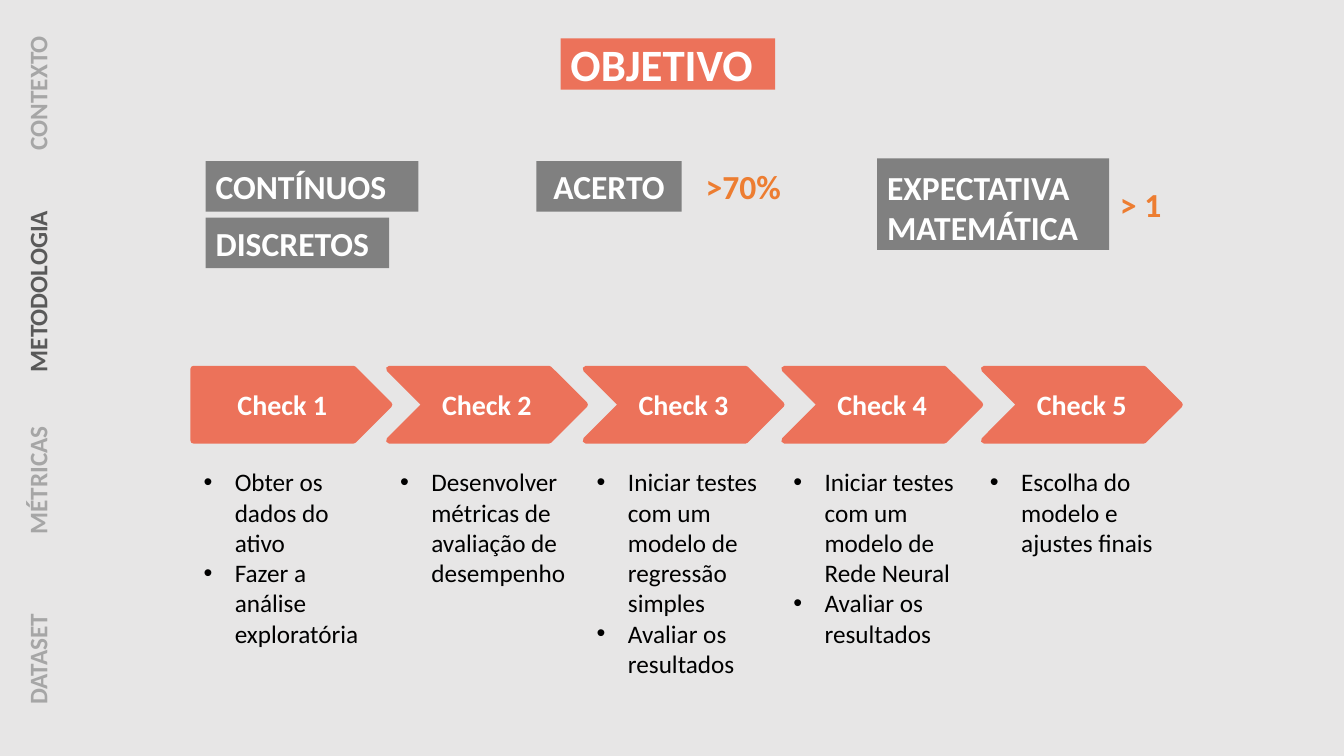
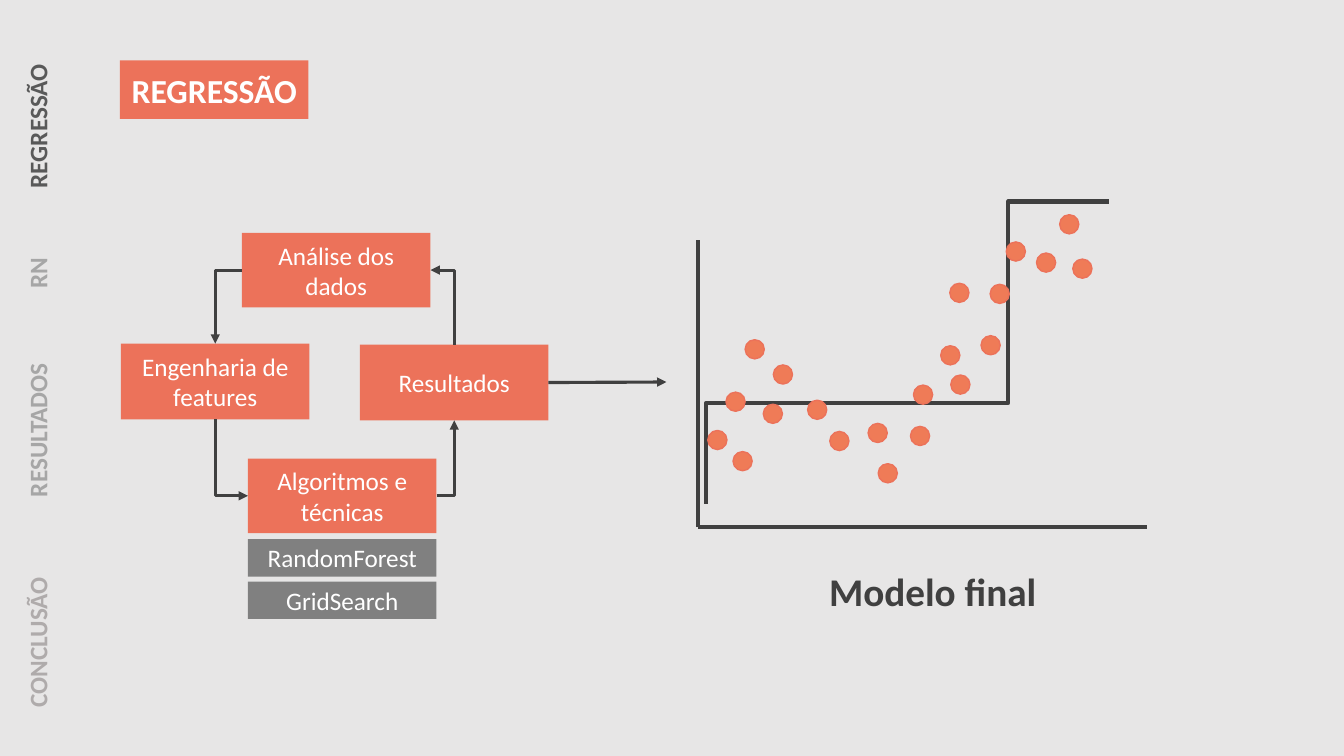
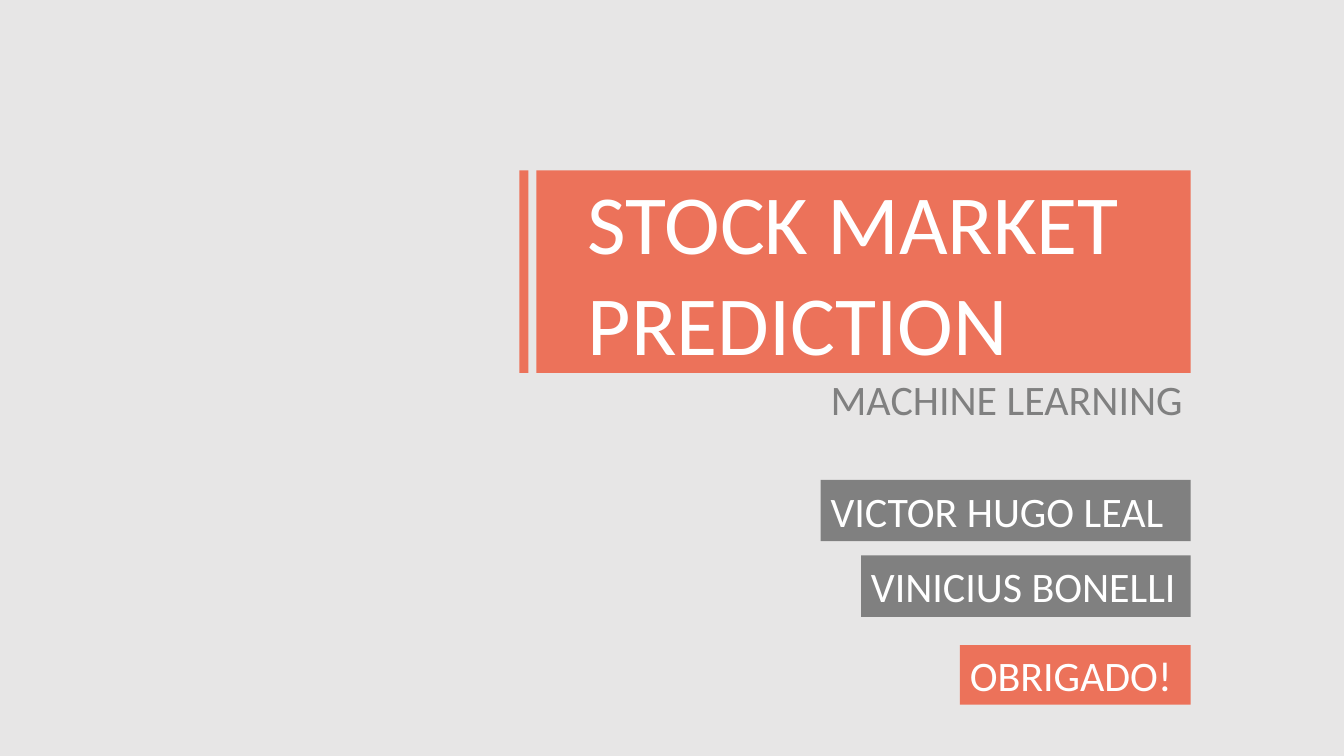
from lxml import etree
from pptx import Presentation
from pptx.dml.color import RGBColor
from pptx.enum.shapes import MSO_CONNECTOR as LINK, MSO_SHAPE as SHAPE
from pptx.enum.text import MSO_ANCHOR as ANCHOR, PP_ALIGN as ALIGN
from pptx.oxml.ns import qn
from pptx.util import Inches, Pt

COLORS = {
    "paper": "E7E6E6", "coral": "EC725A", "dot": "EF7B57", "orange": "ED7D31",
    "gray": "808080", "ink": "404040", "active": "595959", "idle": "A6A6A6",
    "last": "AFABAB", "white": "FFFFFF", "black": "000000",
}
COLORS = {name: RGBColor.from_string(value) for name, value in COLORS.items()}


def add_box(shapes, at, lines=(), size=18, color="white", fill=None, bold=False,
            align=ALIGN.LEFT, kind=SHAPE.RECTANGLE, border=0, bullet=False):
    """Add a filled shape, or a text box when there is no fill."""
    place = [Inches(length) for length in at]
    if fill:
        box = shapes.add_shape(kind, *place)
        box.shadow.inherit = False
        box.fill.solid()
        box.fill.fore_color.rgb = COLORS[fill]
        if border:
            box.line.width = Pt(border)
            box.line.color.rgb = COLORS["coral"]
        else:
            box.line.fill.background()
    else:
        box = shapes.add_textbox(*place)
    frame = box.text_frame
    frame.word_wrap = True
    frame.vertical_anchor = ANCHOR.MIDDLE if fill else ANCHOR.TOP
    for index, line in enumerate(lines):
        para = frame.add_paragraph() if index else frame.paragraphs[0]
        para.text = line
        para.alignment = align
        if bullet:
            props = para._p.get_or_add_pPr()
            props.set("marL", str(Inches(0.31)))
            props.set("indent", str(-Inches(0.31)))
            etree.SubElement(props, qn("a:buFont"), typeface="Arial")
            etree.SubElement(props, qn("a:buChar"), char="•")
        para.font.name = "Calibri"
        para.font.size = Pt(size)
        para.font.bold = bold
        para.font.color.rgb = COLORS[color]
    return box


def add_line(shapes, kind, start, end, width, arrow=None):
    """Add a dark connector; arrow is headEnd (start) or tailEnd (end)."""
    line = shapes.add_connector(kind, *[Inches(length) for length in (*start, *end)])
    line.line.width = Pt(width)
    line.line.color.rgb = COLORS["ink"]
    props = line._element.spPr
    if arrow:
        etree.SubElement(props.find(qn("a:ln")), qn("a:" + arrow), type="triangle")
    etree.SubElement(props, qn("a:effectLst"))
    return line


deck = Presentation()
deck.slide_width, deck.slide_height = Inches(13.33), Inches(7.5)

# Pages with background and vertical section menu: label, centre, length, colour
menus = [
    [("CONTEXTO", 0.88, 1.42, "idle"), ("METODOLOGIA", 2.85, 1.88, "active"),
     ("MÉTRICAS", 4.75, 1.3, "idle"), ("DATASET", 6.52, 1.14, "idle")],
    [("REGRESSÃO", 1.21, 1.51, "active"), ("RN", 2.7, 0.52, "idle"),
     ("RESULTADOS", 4.23, 1.6, "idle"), ("CONCLUSÃO", 6.31, 1.61, "last")],
    [],
]
pages = []
for menu in menus:
    page = deck.slides.add_slide(deck.slide_layouts[6])
    page.background.fill.solid()
    page.background.fill.fore_color.rgb = COLORS["paper"]
    for label, middle, length, color in menu:
        item = add_box(page.shapes, (0.37 - length / 2, middle - 0.2, length, 0.4),
                       [label], color=color, bold=True)
        item.rotation = 270
        item.text_frame.word_wrap = False
    pages.append(page.shapes)
goal, regression, closing = pages

# Slide 1: goal and targets
add_box(goal, (5.56, 0.38, 2.13, 0.51), ["OBJETIVO"], 32, fill="coral", bold=True)
targets = [
    ((2.04, 1.6, 2.11, 0.5), ["CONTÍNUOS"], ALIGN.LEFT),
    ((2.04, 2.16, 1.82, 0.5), ["DISCRETOS"], ALIGN.LEFT),
    ((5.32, 1.6, 1.44, 0.5), ["ACERTO"], ALIGN.CENTER),
    ((8.7, 1.57, 2.3, 0.91), ["EXPECTATIVA", "MATEMÁTICA"], ALIGN.LEFT),
]
for at, lines, align in targets:
    target = add_box(goal, at, lines, 24, fill="gray", bold=True, align=align)
target.text_frame.margin_top = Inches(0.11)
for at, value in [((6.9, 1.6, 1.12, 0.5), ">70%"), ((11.01, 1.78, 1.14, 0.5), "> 1")]:
    add_box(goal, at, [value], 24, "orange", bold=True)

# Slide 1: check steps with their tasks
checks = [
    (1.92, 1.92, ["Obter os dados do ativo", "Fazer a análise exploratória"]),
    (3.86, 1.31, ["Desenvolver métricas de avaliação de desempenho"]),
    (5.81, 2.22, ["Iniciar testes com um modelo de regressão simples",
                  "Avaliar os resultados"]),
    (7.78, 1.92, ["Iniciar testes com um modelo de Rede Neural",
                  "Avaliar os resultados"]),
    (9.76, 1.01, ["Escolha do modelo e ajustes finais"]),
]
for index, (left, height, tasks) in enumerate(checks):
    add_box(goal, (left, 3.66, 1.94, 0.71), [f"Check {index + 1}"], 20, fill="coral",
            bold=True, align=ALIGN.CENTER, border=4.5,
            kind=SHAPE.CHEVRON if index else SHAPE.PENTAGON)
    add_box(goal, (1.92 + 1.95 * index, 4.58, 1.88, height), tasks,
            color="black", bullet=True)

# Slide 2: title and cycle
add_box(regression, (1.19, 0.6, 1.87, 0.58), ["REGRESSÃO"], 24, fill="coral",
        bold=True, align=ALIGN.CENTER)
steps = [
    ("Análise dos dados", 2.4, 2.31, 0.74, "coral"),
    ("Engenharia de features", 1.2, 3.41, 0.75, "coral"),
    ("Algoritmos e técnicas", 2.46, 4.55, 0.74, "coral"),
    ("Resultados", 3.57, 3.42, 0.75, "coral"),
    ("RandomForest", 2.46, 5.35, 0.37, "gray"),
    ("GridSearch", 2.46, 5.77, 0.37, "gray"),
]
analysis, features, algorithms, results, *_ = [
    add_box(regression, (left, top, 1.87, height), [label], fill=fill, align=ALIGN.CENTER)
    for label, left, top, height, fill in steps
]

# Slide 2: arrows; each elbow leaves a side of the first box horizontally
elbows = [
    (analysis, 1, features, 0, "tailEnd"),
    (algorithms, 1, features, 2, "headEnd"),
    (algorithms, 3, results, 2, "tailEnd"),
    (analysis, 3, results, 0, "headEnd"),
]
for first, first_side, second, second_side, arrow in elbows:
    elbow = add_line(regression, LINK.ELBOW, (0, 0), (1, 1), 2.25, arrow)
    elbow._element.spPr.find(qn("a:prstGeom")).set("prst", "bentConnector2")
    elbow.begin_connect(first, first_side)
    elbow.end_connect(second, second_side)
exit_arrow = add_line(regression, LINK.STRAIGHT, (5.44, 3.79), (6.61, 3.79), 2.25, "tailEnd")
exit_arrow.begin_connect(results, 3)

# Slide 2: sketch of the final model, with axes, fitted curve and points
sketch = regression.add_group_shape().shapes
for end in [(6.92, 2.38), (11.38, 5.23)]:
    add_line(sketch, LINK.STRAIGHT, (6.92, 5.23), end, 3)

knots = [(6.92, 5.25), (7.12, 4.61), (7.31, 3.98), (7.63, 3.84), (7.95, 3.71),
         (8.45, 4.59), (8.83, 4.43), (9.21, 4.28), (9.55, 3.3), (9.91, 2.91),
         (10.27, 2.53), (10.63, 2.33), (10.99, 2.13)]
curve_points = []
for first in range(0, len(knots) - 1, 3):
    for step in range(1, 17):
        t = step / 16
        weights = ((1 - t) ** 3, 3 * t * (1 - t) ** 2, 3 * t ** 2 * (1 - t), t ** 3)
        curve_points.append([
            sum(weight * knot[axis] for weight, knot in zip(weights, knots[first:first + 4]))
            for axis in (0, 1)
        ])
builder = sketch.build_freeform(*knots[0], scale=Inches(1))
builder.add_line_segments(curve_points, close=False)
curve = builder.convert_to_shape()
curve.shadow.inherit = False
curve.fill.background()
curve.line.width = Pt(3)
curve.line.color.rgb = COLORS["ink"]

dots = [
    (7.27, 4.48), (8.23, 4.28), (7.2, 3.89), (7.57, 4.01), (8.01, 3.97), (8.61, 4.2),
    (7.67, 3.62), (9.33, 3.43), (10.28, 2.51), (9.06, 3.82), (9.82, 2.82), (9.73, 3.33),
    (9.98, 2.4), (7.39, 3.37), (10.64, 2.57), (10.51, 2.13), (9.42, 2.81), (9.43, 3.72),
    (9.03, 4.23), (8.71, 4.6), (7.02, 4.27),
]
for left, top in dots:
    add_box(sketch, (left, top, 0.19, 0.19), fill="dot", kind=SHAPE.OVAL, border=1)
add_box(regression, (7.84, 5.58, 2.82, 0.57), ["Modelo final"], 28, "ink",
        bold=True, align=ALIGN.CENTER)

# Slide 3: title block, subtitle, authors and thanks
add_box(closing, (5.15, 1.69, 0.09, 2.01), fill="coral")
title = add_box(closing, (5.32, 1.69, 6.49, 2.01), ["STOCK MARKET", "PREDICTION"], 60,
                fill="coral")
title.text_frame.margin_left = Inches(0.51)
add_box(closing, (8.14, 3.66, 3.74, 0.61), ["MACHINE LEARNING"], 30, "gray")
for text, left, top, height, fill in [("VICTOR HUGO LEAL", 8.14, 4.76, 0.61, "gray"),
                                      ("VINICIUS BONELLI", 8.54, 5.51, 0.61, "gray"),
                                      ("OBRIGADO!", 9.52, 6.4, 0.59, "coral")]:
    add_box(closing, (left, top, 11.81 - left, height), [text], 30, fill=fill)

deck.save("out.pptx")
